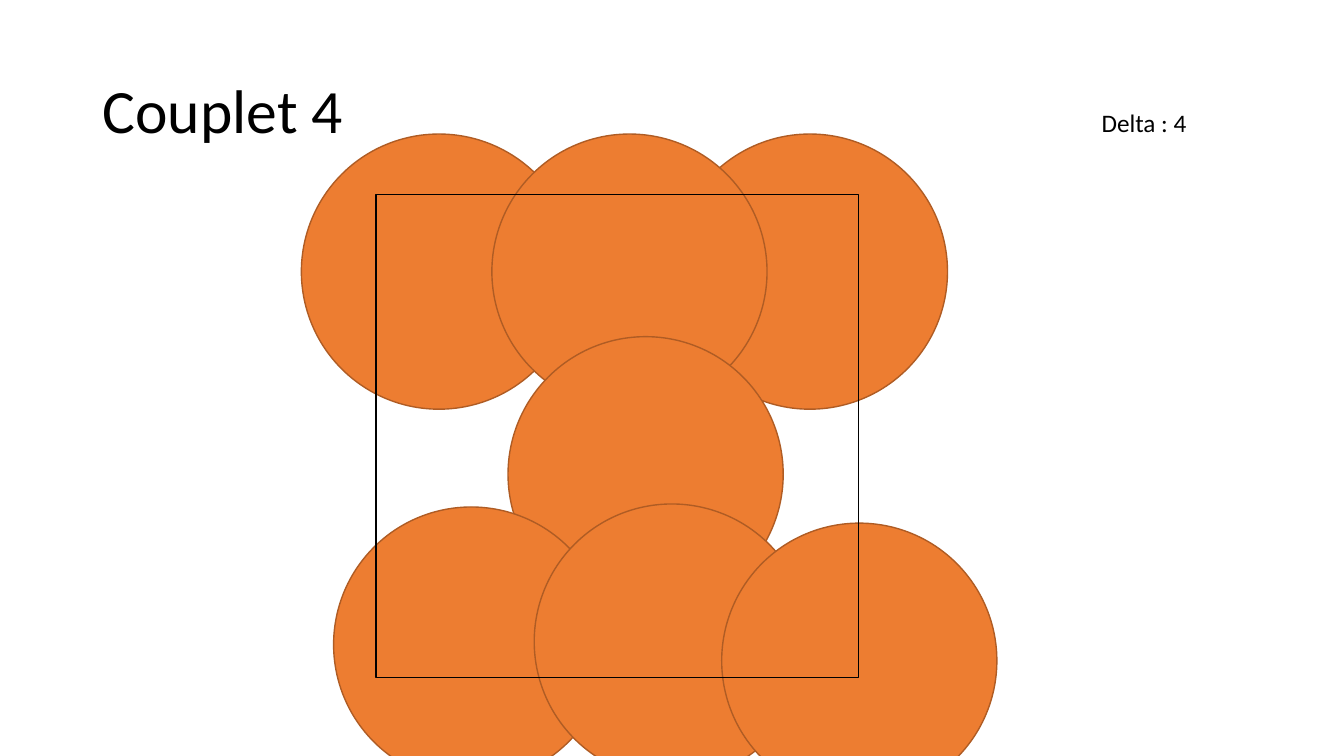
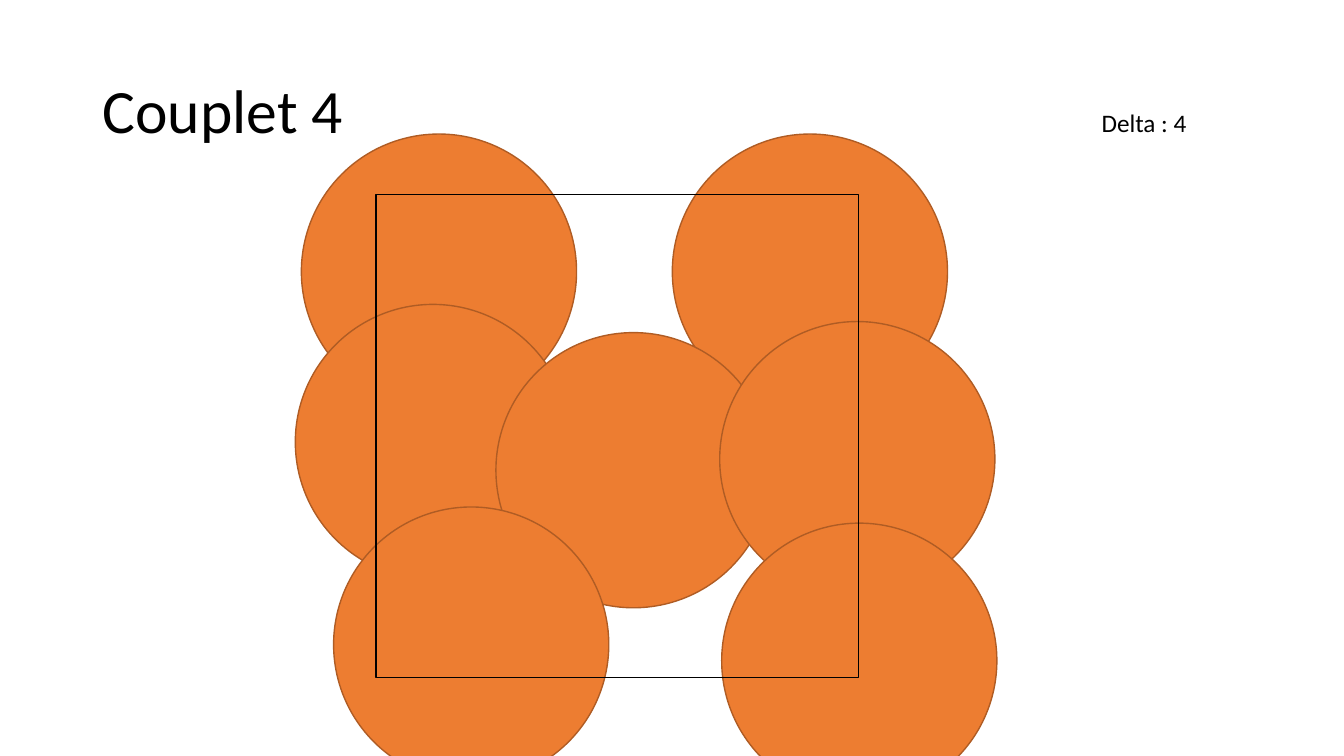
from dataclasses import dataclass

import pptx
import pptx.dml.color
import pptx.enum.shapes
import pptx.enum.text
import pptx.presentation
import pptx.shapes.autoshape
import pptx.slide
import pptx.util


@dataclass(frozen=True)
class Theme:
    font: str = "Calibri"
    text: str = "000000"
    disc_fill: str = "ED7D31"
    disc_line: str = "AF5C24"
    frame_line: str = "000000"
    line_width: float = 1
    title_size: float = 44
    label_size: float = 18


@dataclass(frozen=True)
class Area:
    """A block of the grid, whose cells are a tenth of an inch wide and high."""
    column: float
    row: float
    columns: float
    rows: float


@dataclass(frozen=True)
class Disc:
    column: float
    row: float


@dataclass(frozen=True)
class Page:
    title: str
    label: str
    discs: tuple[Disc, ...]


THEME = Theme()
CELL = pptx.util.Inches(0.1)
SLIDE_COLUMNS, SLIDE_ROWS = 133.33, 75
DISC_SIZE = 27.3
TITLE_AREA = Area(9.2, 4, 115, 14.5)
LABEL_AREA = Area(108.3, 10.2, 22, 4)
FRAME_AREA = Area(37.3, 19.3, 47.9, 47.9)

# Discs that stand in the same place on both pages
TOP_LEFT, TOP_RIGHT = Disc(29.9, 13.3), Disc(66.7, 13.3)
BOTTOM_LEFT, BOTTOM_RIGHT = Disc(33.1, 50.3), Disc(71.6, 51.9)

# Discs are listed from back to front
PAGES = (
    Page("Couplet 4", "Delta : 4", (
        TOP_LEFT, TOP_RIGHT, Disc(48.8, 13.3), Disc(50.4, 33.4),
        BOTTOM_LEFT, Disc(53, 50), BOTTOM_RIGHT)),
    Page("Couplet 4", "Delta : 4", (
        TOP_LEFT, TOP_RIGHT, Disc(29.3, 30.2), Disc(49.2, 33),
        BOTTOM_LEFT, Disc(71.4, 31.9), BOTTOM_RIGHT)),
)


def cells(count: float) -> pptx.util.Emu:
    return pptx.util.Emu(round(count * CELL))


def place(area: Area) -> tuple[pptx.util.Emu, ...]:
    return tuple(cells(count) for count in
                 (area.column, area.row, area.columns, area.rows))


def color(value: str) -> pptx.dml.color.RGBColor:
    return pptx.dml.color.RGBColor.from_string(value)


def add_text(slide: pptx.slide.Slide, area: Area, text: str, size: float,
             anchor: pptx.enum.text.MSO_ANCHOR, line_spacing: float = 1) -> None:
    frame = slide.shapes.add_textbox(*place(area)).text_frame
    frame.word_wrap = True
    frame.vertical_anchor = anchor
    paragraph = frame.paragraphs[0]
    paragraph.text = text
    paragraph.line_spacing = line_spacing
    paragraph.font.name = THEME.font
    paragraph.font.size = pptx.util.Pt(size)
    paragraph.font.color.rgb = color(THEME.text)


def add_outlined(slide: pptx.slide.Slide, kind: pptx.enum.shapes.MSO_SHAPE,
                 area: Area, line: str) -> pptx.shapes.autoshape.Shape:
    shape = slide.shapes.add_shape(kind, *place(area))
    shape.shadow.inherit = False
    shape.line.color.rgb = color(line)
    shape.line.width = pptx.util.Pt(THEME.line_width)
    return shape


def add_disc(slide: pptx.slide.Slide, disc: Disc) -> None:
    area = Area(disc.column, disc.row, DISC_SIZE, DISC_SIZE)
    shape = add_outlined(slide, pptx.enum.shapes.MSO_SHAPE.OVAL, area, THEME.disc_line)
    shape.fill.solid()
    shape.fill.fore_color.rgb = color(THEME.disc_fill)


def add_frame(slide: pptx.slide.Slide) -> None:
    shape = add_outlined(slide, pptx.enum.shapes.MSO_SHAPE.RECTANGLE,
                         FRAME_AREA, THEME.frame_line)
    shape.fill.background()


def add_page(presentation: pptx.presentation.Presentation, page: Page) -> None:
    slide = presentation.slides.add_slide(presentation.slide_layouts[6])
    add_text(slide, TITLE_AREA, page.title, THEME.title_size,
             pptx.enum.text.MSO_ANCHOR.MIDDLE, 0.9)
    for disc in page.discs:
        add_disc(slide, disc)
    add_frame(slide)
    add_text(slide, LABEL_AREA, page.label, THEME.label_size,
             pptx.enum.text.MSO_ANCHOR.TOP)


def main() -> None:
    presentation = pptx.Presentation()
    presentation.slide_width = cells(SLIDE_COLUMNS)
    presentation.slide_height = cells(SLIDE_ROWS)
    for page in PAGES:
        add_page(presentation, page)
    presentation.save("out.pptx")


if __name__ == "__main__":
    main()
